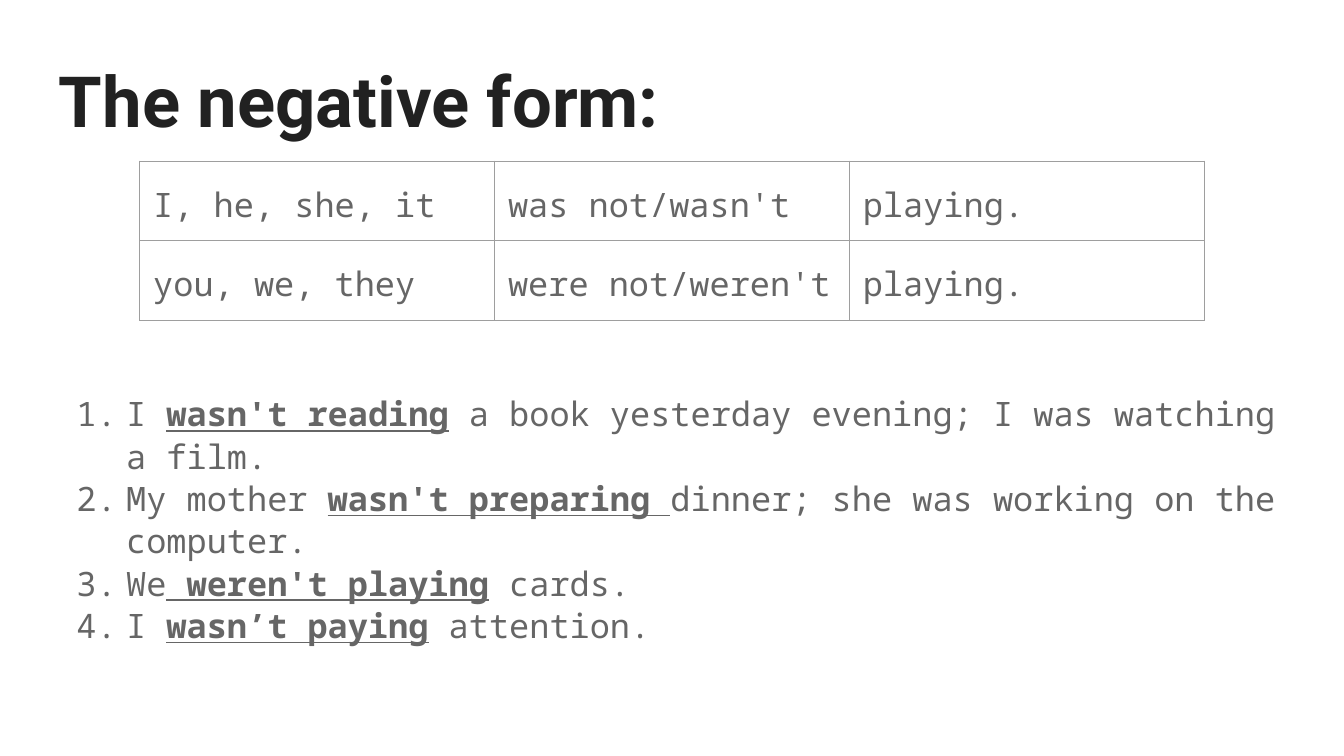
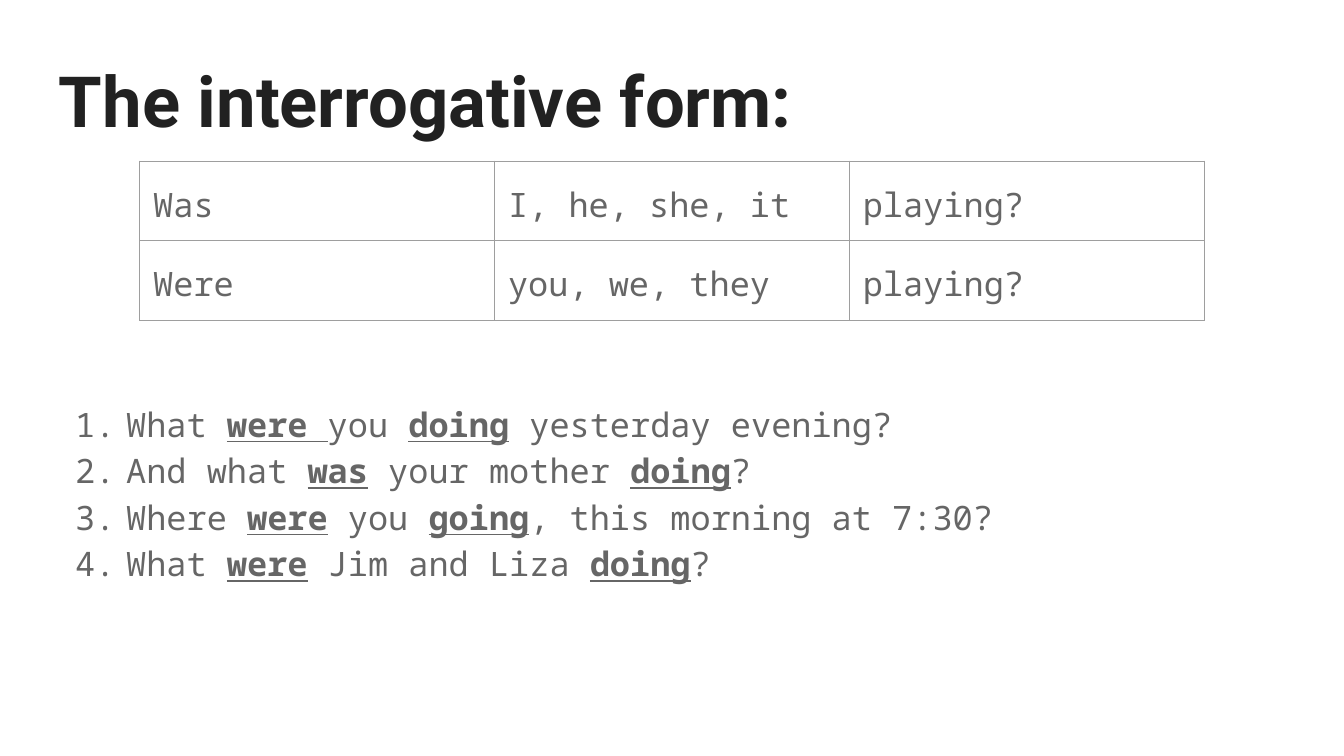
from dataclasses import dataclass

from pptx import Presentation
from pptx.dml.color import RGBColor as Rgb
from pptx.enum.text import MSO_ANCHOR as Anchor, MSO_AUTO_SIZE as AutoSize
from pptx.oxml.ns import qn
from pptx.util import Inches, Pt
from lxml.etree import SubElement


@dataclass(frozen=True)
class Theme:
    title_font: str = "Roboto"
    body_font: str = "Noto Sans Mono"
    title_size: float = 37.8
    body_size: float = 18
    title_color: str = "212121"
    body_color: str = "666666"
    border_color: str = "9E9E9E"
    border_width: float = 0.75
    background: str = "FFFFFF"
    inset: float = 0.1


THEME = Theme()
WIDTH = Inches(10)
HEIGHT = WIDTH * 9 // 16
UNIT = WIDTH / 100  # side of one square of the layout grid

# Boxes as left, top, width, height in grid squares
TITLE_BOX = (3.4, 3.2, 93.2, 8.8)
FORMS_BOX = (10.4, 12, 79.2, 10.9)
EXAMPLES_BOX = (3.4, 13.4, 93.2, 36.5)

# Words between asterisks are emphasised
LESSONS = [
    dict(
        title="The negative form:",
        forms=[
            ("I, he, she, it", "was not/wasn't", "playing."),
            ("you, we, they", "were not/weren't", "playing."),
        ],
        examples=[
            "I *wasn't reading* a book yesterday evening; I was watching a film.",
            "My mother *wasn't preparing *dinner; she was working on the computer.",
            "We* weren't playing* cards.",
            "I *wasn’t paying* attention.",
        ],
        below=1.9, spacing=1.05, hanging=0.37,
    ),
    dict(
        title="The interrogative form:",
        forms=[
            ("Was", "I, he, she, it", "playing?"),
            ("Were", "you, we, they", "playing?"),
        ],
        examples=[
            "What *were *you *doing* yesterday evening?",
            "And what *was* your mother *doing*?",
            "Where *were* you *going*, this morning at 7:30?",
            "What *were* Jim and Liza *doing*?",
        ],
        below=6.5, spacing=1.15, hanging=0.38,
    ),
]


def squares(*lengths):
    return [round(length * UNIT) for length in lengths]


def set_insets(target):
    target.margin_left = target.margin_right = Inches(THEME.inset)
    target.margin_top = target.margin_bottom = Inches(THEME.inset)


def write(paragraph, text, font=THEME.body_font, size=THEME.body_size,
          color=THEME.body_color, bold=False, spacing=None, after=None):
    """Fill a paragraph, giving bold underline to words between asterisks."""
    if spacing:
        paragraph.line_spacing = spacing
    if after is not None:
        paragraph.space_after = Pt(after)
    for index, part in enumerate(text.split("*")):
        if not part:
            continue
        emphasised = index % 2 == 1
        run = paragraph.add_run()
        run.text = part
        run.font.name = font
        run.font.size = Pt(size)
        run.font.color.rgb = Rgb.from_string(color)
        run.font.bold = bold or emphasised
        run.font.underline = emphasised


def number(paragraph, hanging):
    """Give a paragraph an automatic number with a hanging indent."""
    properties = paragraph._p.get_or_add_pPr()
    properties.set("marL", str(Inches(0.5)))
    properties.set("indent", str(-Inches(hanging)))
    color = SubElement(properties, qn("a:buClr"))
    SubElement(color, qn("a:srgbClr"), val=THEME.body_color)
    SubElement(properties, qn("a:buFont"), typeface=THEME.body_font)
    SubElement(properties, qn("a:buAutoNum"), type="arabicPeriod")


def add_frame(slide, box, anchor):
    frame = slide.shapes.add_textbox(*squares(*box)).text_frame
    frame.word_wrap = True
    frame.auto_size = AutoSize.NONE
    frame.vertical_anchor = anchor
    set_insets(frame)
    return frame


def add_title(slide, box, title):
    frame = add_frame(slide, box, Anchor.TOP)
    write(frame.paragraphs[0], title, font=THEME.title_font,
          size=THEME.title_size, color=THEME.title_color, bold=True)


def add_borders(cell):
    properties = cell._tc.get_or_add_tcPr()
    for side in "LRTB":
        line = SubElement(properties, qn(f"a:ln{side}"), w=str(Pt(THEME.border_width)))
        fill = SubElement(line, qn("a:solidFill"))
        SubElement(fill, qn("a:srgbClr"), val=THEME.border_color)


def add_forms(slide, box, forms):
    """Draw the grid of pronouns and verb forms."""
    table = slide.shapes.add_table(len(forms), len(forms[0]), *squares(*box)).table
    table.first_row = table.horz_banding = False
    for row, words in enumerate(forms):
        for column, word in enumerate(words):
            cell = table.cell(row, column)
            set_insets(cell)
            add_borders(cell)
            cell.fill.background()
            write(cell.text_frame.paragraphs[0], word, spacing=1.15, after=12)


def add_examples(slide, box, examples, below, spacing, hanging):
    """List numbered sentences, ending `below` squares above the box's bottom."""
    frame = add_frame(slide, box, Anchor.BOTTOM)
    frame.margin_bottom = squares(below)[0]
    for index, sentence in enumerate(examples):
        paragraph = frame.add_paragraph() if index else frame.paragraphs[0]
        paragraph.line_spacing = spacing
        number(paragraph, hanging)
        write(paragraph, sentence)


def add_lesson(deck, title, forms, examples, **layout):
    slide = deck.slides.add_slide(deck.slide_layouts[6])
    background = slide.background.fill
    background.solid()
    background.fore_color.rgb = Rgb.from_string(THEME.background)
    add_title(slide, TITLE_BOX, title)
    add_examples(slide, EXAMPLES_BOX, examples, **layout)
    add_forms(slide, FORMS_BOX, forms)


def main():
    deck = Presentation()
    deck.slide_width, deck.slide_height = WIDTH, HEIGHT
    for lesson in LESSONS:
        add_lesson(deck, **lesson)
    deck.save("out.pptx")


if __name__ == "__main__":
    main()
